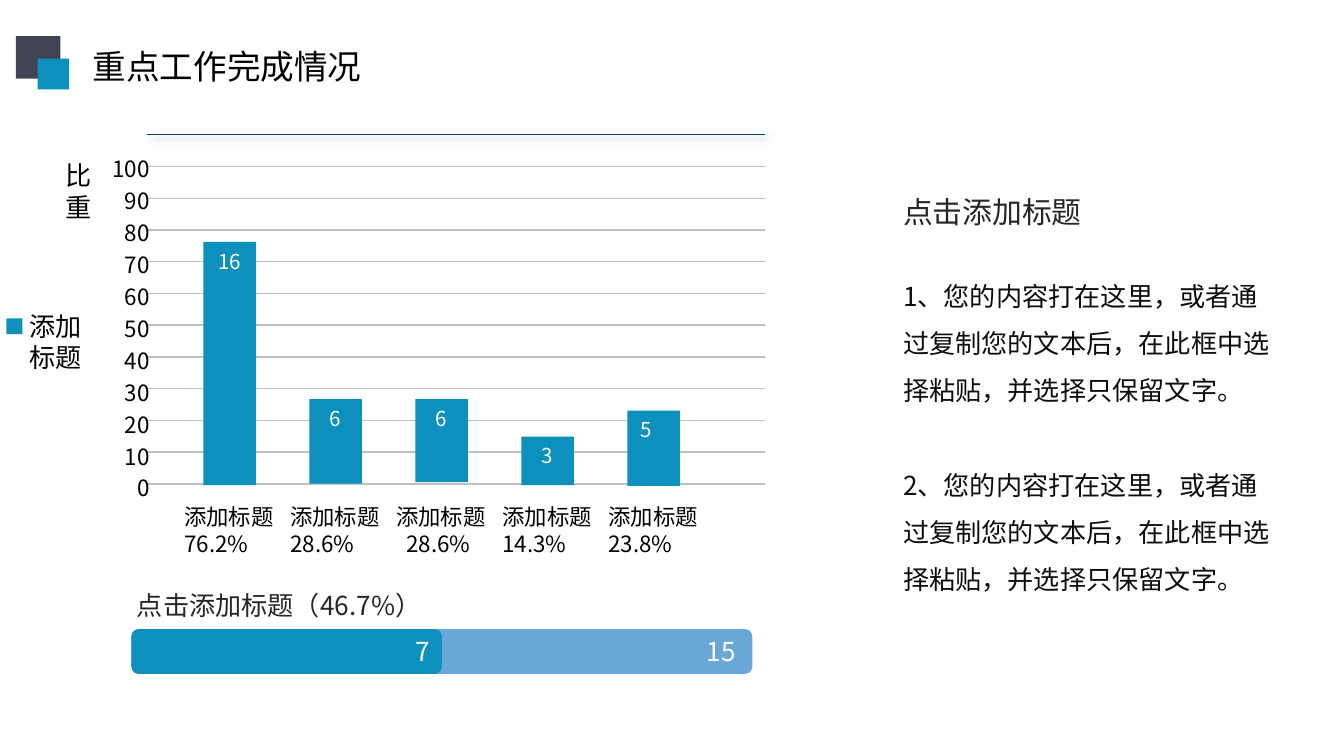
"""Build the key work completion slide with a drawn bar chart and a progress bar."""
from lxml import etree
from pptx import Presentation
from pptx.dml.color import RGBColor
from pptx.enum import shapes, text
from pptx.oxml import ns
from pptx.util import Pt

FONT = "Noto Sans CJK SC"
TEAL, SKY, SLATE = "0E90BE", "68A7D6", "414455"
BLACK, WHITE, GREY, NAVY = "000000", "FFFFFF", "C0C0C0", "014075"
LEFT, CENTER, RIGHT = text.PP_ALIGN.LEFT, text.PP_ALIGN.CENTER, text.PP_ALIGN.RIGHT
WIDE, SNUG, FLAT = (7.2, 3.6), (5, 3), (5, 0)

TITLE = "重点工作完成情况"
BARS = [
    ("16", "76.2%", 129.6, 130.3, CENTER, 0),
    ("6", "28.6%", 213.8, 45.4, CENTER, 0),
    ("6", "28.6%", 213.8, 44.6, CENTER, 5.4),
    ("3", "14.3%", 234, 25.9, CENTER, 0),
    ("5", "23.8%", 220, 40.3, LEFT, 0),
]
CATEGORY = "添加标题"
ADVICE = "、您的内容打在这里，或者通过复制您的文本后，在此框中选择粘贴，并选择只保留文字。"
POINTS = ["1" + ADVICE, "2" + ADVICE]

PLOT_LEFT, PLOT_RIGHT, PLOT_TOP, GRID_STEP = 78.5, 409.7, 89.2, 17
TICK_TOP, TICK_STEP = 79.9, 17.14
BAR_LEFT, BAR_STEP, BAR_WIDTH = 108.9, 56.8, 28.2
PROGRESS_LEFT, PROGRESS_TOP, PROGRESS_HEIGHT = 70.4, 337, 24


def color(value):
    return RGBColor.from_string(value)


def write(frame, lines, size, ink, align=LEFT, margins=WIDE, wrap=True,
          spacing=None, gap=0, anchor=text.MSO_ANCHOR.TOP):
    frame.word_wrap = wrap
    frame.auto_size = text.MSO_AUTO_SIZE.NONE
    frame.vertical_anchor = anchor
    frame.margin_left = frame.margin_right = Pt(margins[0])
    frame.margin_top = frame.margin_bottom = Pt(margins[1])
    for index, line in enumerate(lines):
        paragraph = frame.add_paragraph() if index else frame.paragraphs[0]
        paragraph.alignment = align
        if spacing:
            paragraph.line_spacing = spacing
        if index and gap:
            paragraph.space_before = Pt(gap)
        run = paragraph.add_run()
        run.text = line
        run.font.size = Pt(size)
        run.font.name = FONT
        run.font.color.rgb = color(ink)
        east_asian = etree.SubElement(run._r.get_or_add_rPr(), ns.qn("a:ea"))
        east_asian.set("typeface", FONT)


def add_text(slide, box, lines, size, ink=BLACK, **style):
    frame = slide.shapes.add_textbox(*map(Pt, box)).text_frame
    write(frame, lines, size, ink, **style)
    return frame


def add_block(slide, box, fill, preset=shapes.MSO_SHAPE.RECTANGLE):
    block = slide.shapes.add_shape(preset, *map(Pt, box))
    block.shadow.inherit = False
    block.fill.solid()
    block.fill.fore_color.rgb = color(fill)
    block.line.fill.background()
    return block


def add_rule(slide, y, ink):
    rule = slide.shapes.add_connector(
        shapes.MSO_CONNECTOR.STRAIGHT, Pt(PLOT_LEFT), Pt(y), Pt(PLOT_RIGHT), Pt(y))
    rule.line.color.rgb = color(ink)
    rule.line.width = Pt(0.75)
    return etree.SubElement(rule._element.spPr, ns.qn("a:effectLst"))


def add_soft_shadow(effects):
    shadow = etree.SubElement(effects, ns.qn("a:outerShdw"), blurRad=str(Pt(4)),
                              dist=str(Pt(3)), dir="2700000", algn="tl", rotWithShape="0")
    ink = etree.SubElement(shadow, ns.qn("a:srgbClr"), val=BLACK)
    etree.SubElement(ink, ns.qn("a:alpha"), val="40000")


def add_heading(slide):
    title = slide.shapes.title
    title.left, title.top, title.width, title.height = map(Pt, (42.5, 20.9, 160, 28.8))
    write(title.text_frame, [TITLE], 18, BLACK, wrap=False)
    add_block(slide, (8.6, 19.4, 23.8, 22.8), SLATE)
    add_block(slide, (20.2, 31.5, 16.8, 16.5), TEAL)


def add_bar_chart(slide):
    for index in range(11):
        add_rule(slide, PLOT_TOP + index * GRID_STEP, GREY)
        add_text(slide, (44.2, TICK_TOP + index * TICK_STEP, 41, 20),
                 [str(100 - index * 10)], 12, align=RIGHT, margins=SNUG)
    add_soft_shadow(add_rule(slide, 72.2, NAVY))
    for index, (count, share, top, height, align, indent) in enumerate(BARS):
        left = BAR_LEFT + index * BAR_STEP
        bar = add_block(slide, (left, top, BAR_WIDTH, height), TEAL)
        write(bar.text_frame, [count], 11, WHITE, align=align)
        label = add_text(slide, (left - 15.2, 266.4, 70, 34.6), [CATEGORY, share],
                         12, margins=SNUG)
        label.paragraphs[1]._p.get_or_add_pPr().set("indent", str(Pt(indent)))
    add_text(slide, (28.1, 82.1, 25.9, 41), ["比重"], 14)
    add_block(slide, (3.4, 170.5, 8.6, 8.6), TEAL)
    add_text(slide, (8.6, 162.7, 42.5, 41), ["添加", "标题"], 14, wrap=False)


def add_progress(slide):
    done = None
    for width, fill in ((332.6, SKY), (166.3, TEAL)):
        done = add_block(slide, (PROGRESS_LEFT, PROGRESS_TOP, width, PROGRESS_HEIGHT),
                         fill, shapes.MSO_SHAPE.ROUNDED_RECTANGLE)
        done.adjustments[0] = 0.16
    write(done.text_frame, ["7"], 14, WHITE, align=RIGHT, margins=SNUG,
          anchor=text.MSO_ANCHOR.MIDDLE)
    add_text(slide, (371.5, PROGRESS_TOP, 39.6, 24.5), ["15"], 14, WHITE)
    add_text(slide, (68.4, 307.4, 266.4, 25.2), ["点击添加标题（46.7%）"], 14,
             "262626", margins=FLAT, spacing=1.5)


def add_notes_column(slide):
    add_text(slide, (478.8, 100.8, 229.7, 25.2), ["点击添加标题"], 16, "262626",
             margins=SNUG)
    add_text(slide, (478.8, 139, 209.5, 206), POINTS, 14, "0D0D0D",
             margins=SNUG, spacing=1.5, gap=25.2)


def main():
    deck = Presentation()
    deck.slide_width, deck.slide_height = Pt(720), Pt(405)
    slide = deck.slides.add_slide(deck.slide_layouts[5])
    add_heading(slide)
    add_bar_chart(slide)
    add_progress(slide)
    add_notes_column(slide)
    deck.save("out.pptx")


if __name__ == "__main__":
    main()
